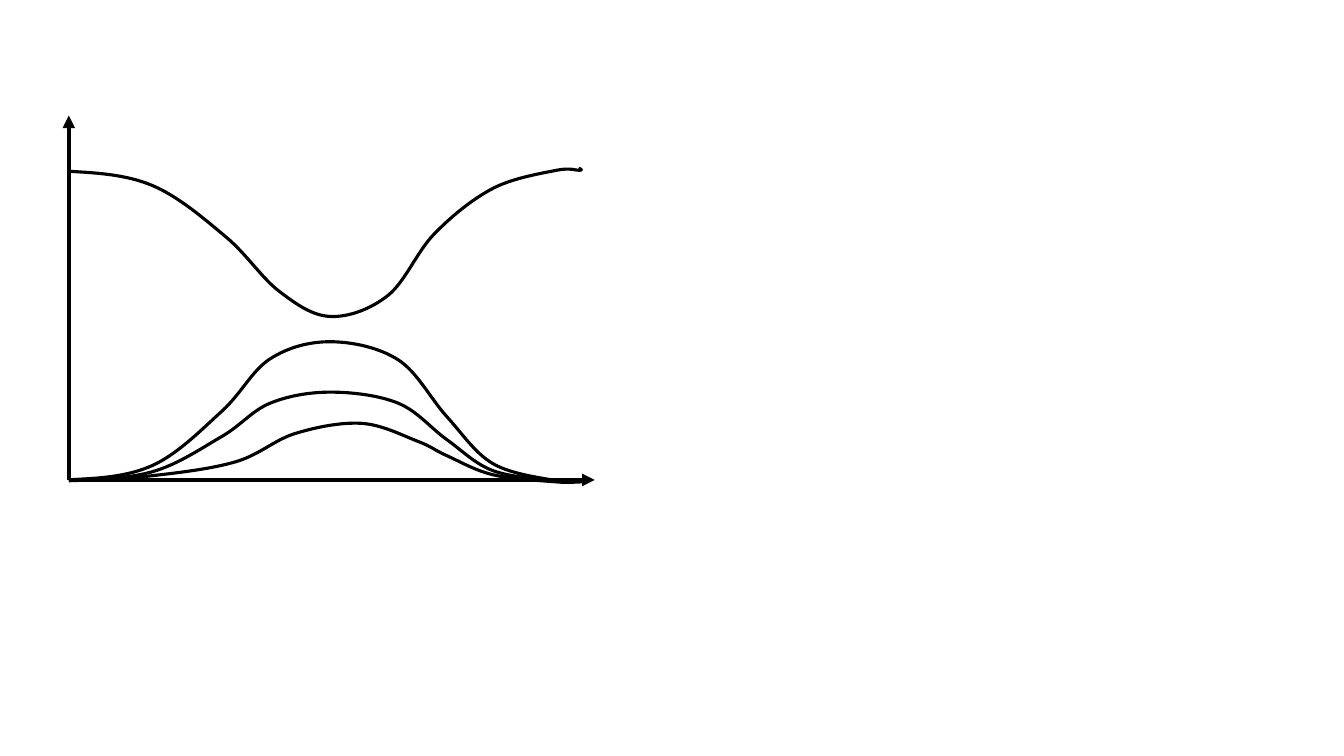
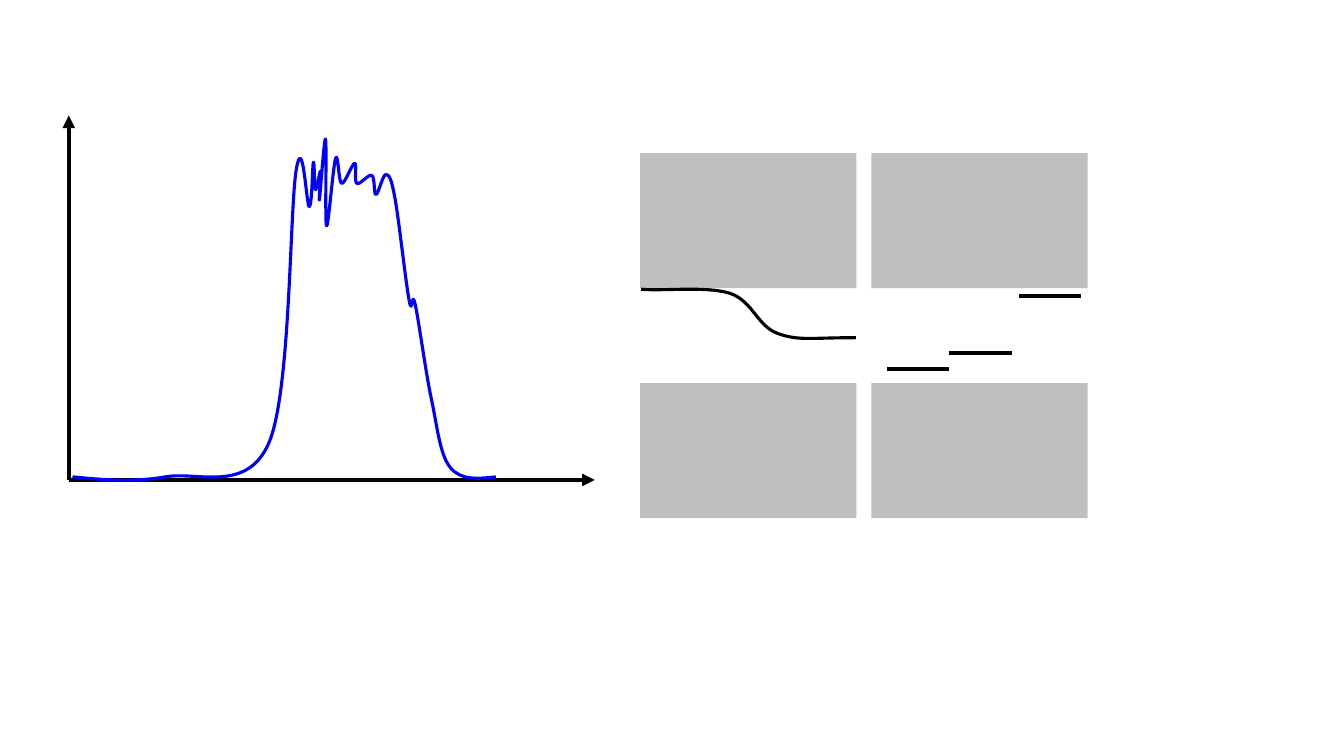
"""Build two slides of energy-level curves, a current trace and barrier diagrams."""
from dataclasses import dataclass
from typing import Any, Optional

from lxml import etree
from pptx import Presentation
from pptx import util as u
from pptx.dml import color as c
from pptx.enum import shapes as s
from pptx.oxml import ns

BLACK = c.RGBColor(0x00, 0x00, 0x00)
BLUE = c.RGBColor(0x00, 0x00, 0xFF)
GREY = c.RGBColor(0xBF, 0xBF, 0xBF)
WHITE = c.RGBColor(0xFF, 0xFF, 0xFF)

SLIDE_SIZE = (960, 540)
ORIGIN = (49.2, 342.8)
AXIS_TOP = 82.5
AXIS_RIGHT = 424.8
AXIS_WEIGHT = 3
CURVE_WEIGHT = 2.25

BARRIER_TOPS = (109.4, 273.6)
BARRIER_SIZE = (154.5, 96.5)
LEFT_BARRIER_X = 457.2
RIGHT_BARRIER_X = 622.4
LEVEL_WIDTH = 44.6

Point = tuple[float, float]


@dataclass(frozen=True)
class Curve:
    """A smooth line through its knots, with optional handles at its ends."""
    knots: tuple[Point, ...]
    color: c.RGBColor = BLACK
    fill: Optional[c.RGBColor] = None
    first_handle: Optional[Point] = None
    last_handle: Optional[Point] = None


@dataclass(frozen=True)
class Segment:
    """A straight line, with an arrowhead at its end if wanted."""
    start: Point
    end: Point
    arrow: bool = False


AXES = (
    Segment(ORIGIN, (ORIGIN[0], AXIS_TOP), arrow=True),
    Segment(ORIGIN, (AXIS_RIGHT, ORIGIN[1]), arrow=True),
)
BELL_X = (49.2, 108.7, 158.4, 193, 236.2, 284.4, 319, 352.1, 397.4, 414, 413.3)
HIGH_BELL_Y = (342.7, 332.6, 293.8, 256.3, 244.1, 257, 297.4, 331.2, 343.4, 343.4, 344.2)
MIDDLE_BELL_Y = (342.7, 337, 311.8, 288, 280.1, 288, 313.9, 336.2, 343.4, 343.4, 344.2)
ENERGY_CURVES = (
    Curve(tuple(zip(BELL_X, HIGH_BELL_Y))),
    Curve((
        (49.2, 122.4), (108.7, 132.5), (161.3, 169.2), (199.4, 208.1),
        (236.2, 226.1), (277.2, 211), (310.3, 167), (352.1, 134.6),
        (397.4, 121.7), (414, 121.7), (413.3, 120.2),
    )),
    Curve(tuple(zip(BELL_X, MIDDLE_BELL_Y))),
    Curve((
        (49.2, 343.4), (108.7, 339.8), (168.5, 329.8), (211, 309.6),
        (258.5, 302.4), (298.8, 315.4), (319, 325.4), (352.1, 339.1),
        (397.4, 344.2), (414, 344.2), (413.3, 344.2),
    )),
)
NOISY_TRACE = Curve((
    (51.8, 340.6), (118.1, 340.6), (192.2, 316.1), (211.7, 121),
    (221, 147.6), (223.9, 115.9), (225.4, 135.4), (229, 122.4),
    (228.2, 142.6), (232.6, 99.4), (233.3, 161.3), (239.8, 113),
    (244.1, 131), (253.4, 116.6), (254.9, 131), (265.7, 125.3),
    (268.6, 139), (275.8, 124.6), (282.2, 141.8), (292.3, 214.6),
    (296.6, 217.4), (308.2, 285.1), (321.8, 334.1), (354.2, 340.6),
), color=BLUE)
POTENTIAL_STEP = Curve(
    ((457.9, 206.6), (521.3, 209.5), (555.8, 238.3), (611.3, 241.2)),
    fill=WHITE, first_handle=(473, 208.1), last_handle=(578.9, 241.2))
LEVELS = tuple(
    Segment((left, y), (left + LEVEL_WIDTH, y))
    for left, y in ((633.6, 263.5), (678.2, 252), (727.9, 211.7))
)


def toward(base: Point, start: Point, end: Point, share: float) -> Point:
    """Shift base by a share of the way from start to end."""
    return (base[0] + (end[0] - start[0]) * share, base[1] + (end[1] - start[1]) * share)


def bezier_corners(curve: Curve) -> list[tuple[Point, Point, Point]]:
    """Return two handles and an end per span, each tangent following its neighbours."""
    knots = curve.knots
    last = len(knots) - 1
    spans = []
    for i in range(last):
        start, end = knots[i], knots[i + 1]
        leaving = toward(start, knots[i - 1], end, 1 / 6) if i else start
        arriving = toward(end, knots[i + 2], start, 1 / 6) if i + 1 < last else end
        if i == 0:
            leaving = curve.first_handle or toward(start, start, arriving, 0.5)
        if i + 1 == last:
            arriving = curve.last_handle or toward(end, end, leaving, 0.5)
        spans.append((leaving, arriving, end))
    return spans


def draw_curve(canvas: Any, curve: Curve) -> None:
    """Draw one smooth curve."""
    first, *rest = [(u.Pt(x), u.Pt(y)) for x, y in curve.knots]
    builder = canvas.build_freeform(*first)
    builder.add_line_segments(rest, close=False)
    outline = builder.convert_to_shape()
    left, top = outline.left, outline.top
    straight_spans = list(outline.element.iter(ns.qn("a:lnTo")))
    for straight, corners in zip(straight_spans, bezier_corners(curve)):
        bend = etree.Element(ns.qn("a:cubicBezTo"))
        for x, y in corners:
            etree.SubElement(bend, ns.qn("a:pt"), x=str(u.Pt(x) - left), y=str(u.Pt(y) - top))
        straight.getparent().replace(straight, bend)
    outline.shadow.inherit = False
    if curve.fill is None:
        outline.fill.background()
    else:
        outline.fill.solid()
        outline.fill.fore_color.rgb = curve.fill
    outline.line.color.rgb = curve.color
    outline.line.width = u.Pt(CURVE_WEIGHT)


def draw_segment(canvas: Any, segment: Segment) -> None:
    """Draw one straight black line."""
    ends = [u.Pt(value) for value in segment.start + segment.end]
    stroke = canvas.add_connector(s.MSO_CONNECTOR.STRAIGHT, *ends)
    stroke.line.color.rgb = BLACK
    stroke.line.width = u.Pt(AXIS_WEIGHT)
    properties = stroke.element.spPr
    if segment.arrow:
        etree.SubElement(properties.find(ns.qn("a:ln")), ns.qn("a:tailEnd"), type="triangle")
    etree.SubElement(properties, ns.qn("a:effectLst"))


def draw_barriers(canvas: Any, left: float) -> None:
    """Draw the upper and lower grey barrier."""
    for top in BARRIER_TOPS:
        barrier = canvas.add_shape(
            s.MSO_SHAPE.RECTANGLE, u.Pt(left), u.Pt(top), *map(u.Pt, BARRIER_SIZE))
        barrier.shadow.inherit = False
        barrier.fill.solid()
        barrier.fill.fore_color.rgb = GREY
        barrier.line.fill.background()


def add_plot(deck: Any) -> Any:
    """Add a blank slide with the two axes and return its shapes."""
    canvas = deck.slides.add_slide(deck.slide_layouts[6]).shapes
    for axis in AXES:
        draw_segment(canvas, axis)
    return canvas


def main() -> None:
    """Build and save the deck."""
    deck = Presentation()
    deck.slide_width, deck.slide_height = map(u.Pt, SLIDE_SIZE)

    energy_plot = add_plot(deck)
    for curve in ENERGY_CURVES:
        draw_curve(energy_plot, curve)

    trace_plot = add_plot(deck)
    draw_curve(trace_plot, NOISY_TRACE)
    level_diagram = trace_plot.add_group_shape().shapes
    draw_barriers(level_diagram, RIGHT_BARRIER_X)
    for level in LEVELS:
        draw_segment(level_diagram, level)
    step_diagram = trace_plot.add_group_shape().shapes
    draw_barriers(step_diagram, LEFT_BARRIER_X)
    draw_curve(step_diagram, POTENTIAL_STEP)

    deck.save("out.pptx")


main()
